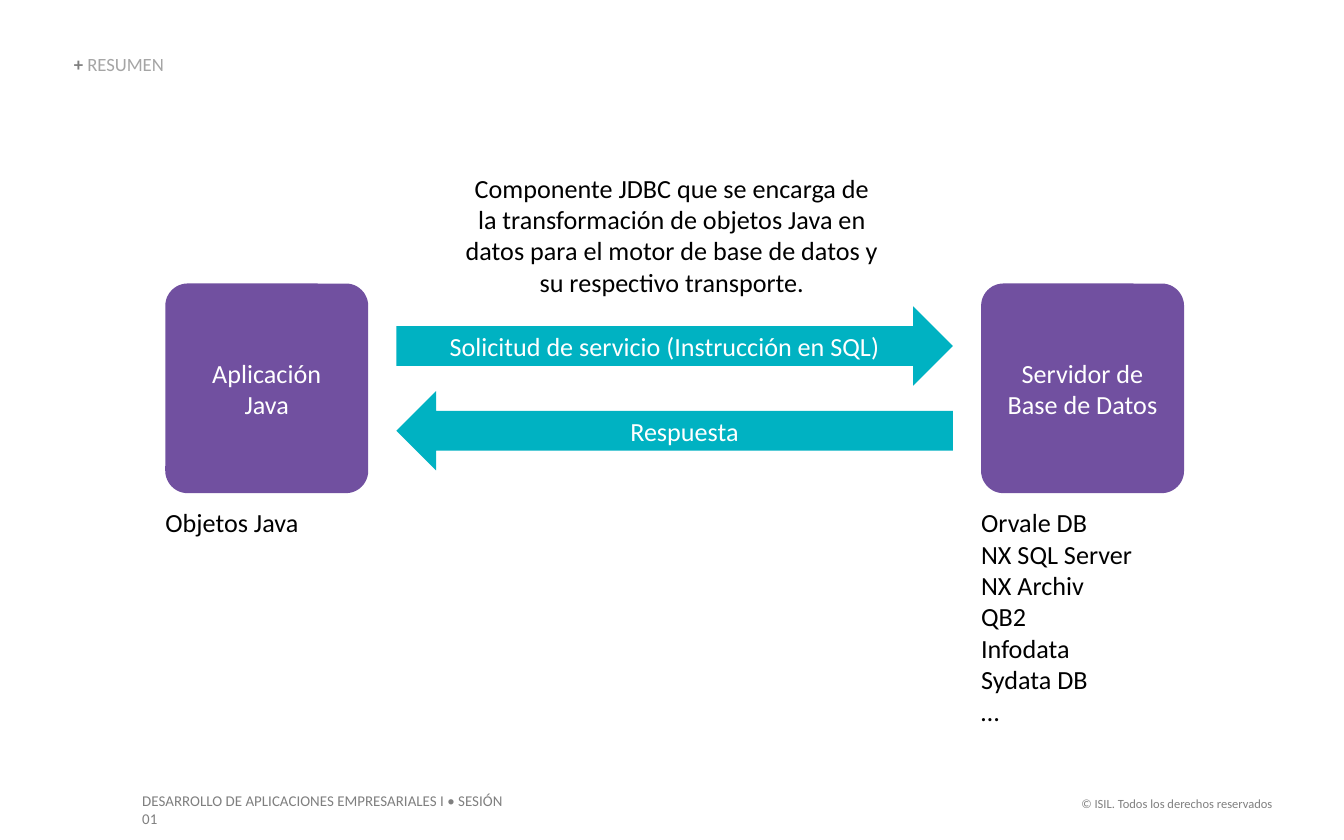
from pptx import Presentation
from pptx.dml.color import RGBColor
from pptx.enum.shapes import MSO_SHAPE as Shape
from pptx.enum.text import MSO_ANCHOR as Anchor, PP_ALIGN as Align
from pptx.util import Inches, Pt

COLORS = {
    "box": "7150A0",
    "arrow": "00B2C2",
    "light": "FFFFFF",
    "dark": "000000",
    "gray": "7F7F7F",
    "pale": "A5A5A5",
}
FONT = "Calibri"
BODY_SIZE = 14

APP_LEFT, SERVER_LEFT = 1.23, 7.3
BOX_TOP, BOX_WIDTH, BOX_HEIGHT = 2.11, 1.51, 1.56
GAP = 0.21
ARROW_TOP, ARROW_HEIGHT, ARROW_PITCH = 2.28, 0.59, 0.63
LABEL_TOP = BOX_TOP + BOX_HEIGHT + 0.1

BOXES = [
    (APP_LEFT, ["Aplicación", "Java"]),
    (SERVER_LEFT, ["Servidor de Base de Datos"]),
]
ARROWS = [
    (Shape.RIGHT_ARROW, "Solicitud de servicio (Instrucción en SQL)"),
    (Shape.LEFT_ARROW, "Respuesta"),
]
LABELS = [
    (APP_LEFT, 1.11, 0.24, ["Objetos Java"]),
    (SERVER_LEFT, 1.49, 1.65, [
        "Orvale DB", "NX SQL Server", "NX Archiv", "QB2",
        "Infodata", "Sydata DB", "…",
    ]),
]
DESCRIPTION = (
    "Componente JDBC que se encarga de la transformación de objetos Java en "
    "datos para el motor de base de datos y su respectivo transporte."
)
HEADING = [("+ ", "gray", True), ("RESUMEN", "pale", False)]
COURSE = "DESARROLLO DE APLICACIONES EMPRESARIALES I • SESIÓN 01"
COPYRIGHT = "© ISIL. Todos los derechos reservados"


def set_text(shape, lines, size=BODY_SIZE, color="dark", align=Align.LEFT,
             anchor=Anchor.TOP, margins=(0, 0)):
    frame = shape.text_frame
    frame.word_wrap = True
    frame.vertical_anchor = anchor
    frame.margin_left = frame.margin_right = Inches(margins[0])
    frame.margin_top = frame.margin_bottom = Inches(margins[1])
    frame.text = "\n".join(lines)
    for paragraph in frame.paragraphs:
        paragraph.alignment = align
        paragraph.font.name = FONT
        paragraph.font.size = Pt(size)
        paragraph.font.color.rgb = RGBColor.from_string(COLORS[color])


def add_text(slide, bounds, lines, **style):
    box = slide.shapes.add_textbox(*map(Inches, bounds))
    set_text(box, lines, **style)
    return box


def add_block(slide, kind, bounds, lines, fill, adjustments):
    shape = slide.shapes.add_shape(kind, *map(Inches, bounds))
    shape.shadow.inherit = False
    shape.fill.solid()
    shape.fill.fore_color.rgb = RGBColor.from_string(COLORS[fill])
    shape.line.fill.background()
    for index, value in enumerate(adjustments):
        shape.adjustments[index] = value
    set_text(shape, lines, color="light", align=Align.CENTER,
             anchor=Anchor.MIDDLE, margins=(0.07, 0.04))


def add_heading(slide):
    box = add_text(slide, (0.55, 0.41, 6.81, 0.15), [], size=10,
                   anchor=Anchor.BOTTOM)
    paragraph = box.text_frame.paragraphs[0]
    paragraph.line_spacing = 0.9
    for text, color, bold in HEADING:
        run = paragraph.add_run()
        run.text = text
        run.font.bold = bold
        run.font.color.rgb = RGBColor.from_string(COLORS[color])


def main():
    presentation = Presentation()
    presentation.slide_width = Inches(10)
    presentation.slide_height = Inches(6.25)
    slide = presentation.slides.add_slide(presentation.slide_layouts[6])

    add_heading(slide)
    add_text(slide, (3.45, 1.28, 3.1, 0.8), [DESCRIPTION], align=Align.CENTER)

    for left, lines in BOXES:
        add_block(slide, Shape.ROUNDED_RECTANGLE,
                  (left, BOX_TOP, BOX_WIDTH, BOX_HEIGHT), lines, "box", [0.11])

    arrow_left = APP_LEFT + BOX_WIDTH + GAP
    arrow_width = SERVER_LEFT - GAP - arrow_left
    for row, (kind, text) in enumerate(ARROWS):
        top = ARROW_TOP + row * ARROW_PITCH
        add_block(slide, kind, (arrow_left, top, arrow_width, ARROW_HEIGHT),
                  [text], "arrow", [0.5, 0.5])

    for left, width, height, lines in LABELS:
        add_text(slide, (left, LABEL_TOP, width, height), lines)

    add_text(slide, (0.96, 5.84, 2.95, 0.24), [COURSE], size=8, color="gray",
             margins=(0.1, 0.05))
    add_text(slide, (7.92, 5.87, 1.65, 0.21), [COPYRIGHT], size=6.7,
             color="gray", align=Align.RIGHT, margins=(0.1, 0.05))

    presentation.save("out.pptx")


if __name__ == "__main__":
    main()
